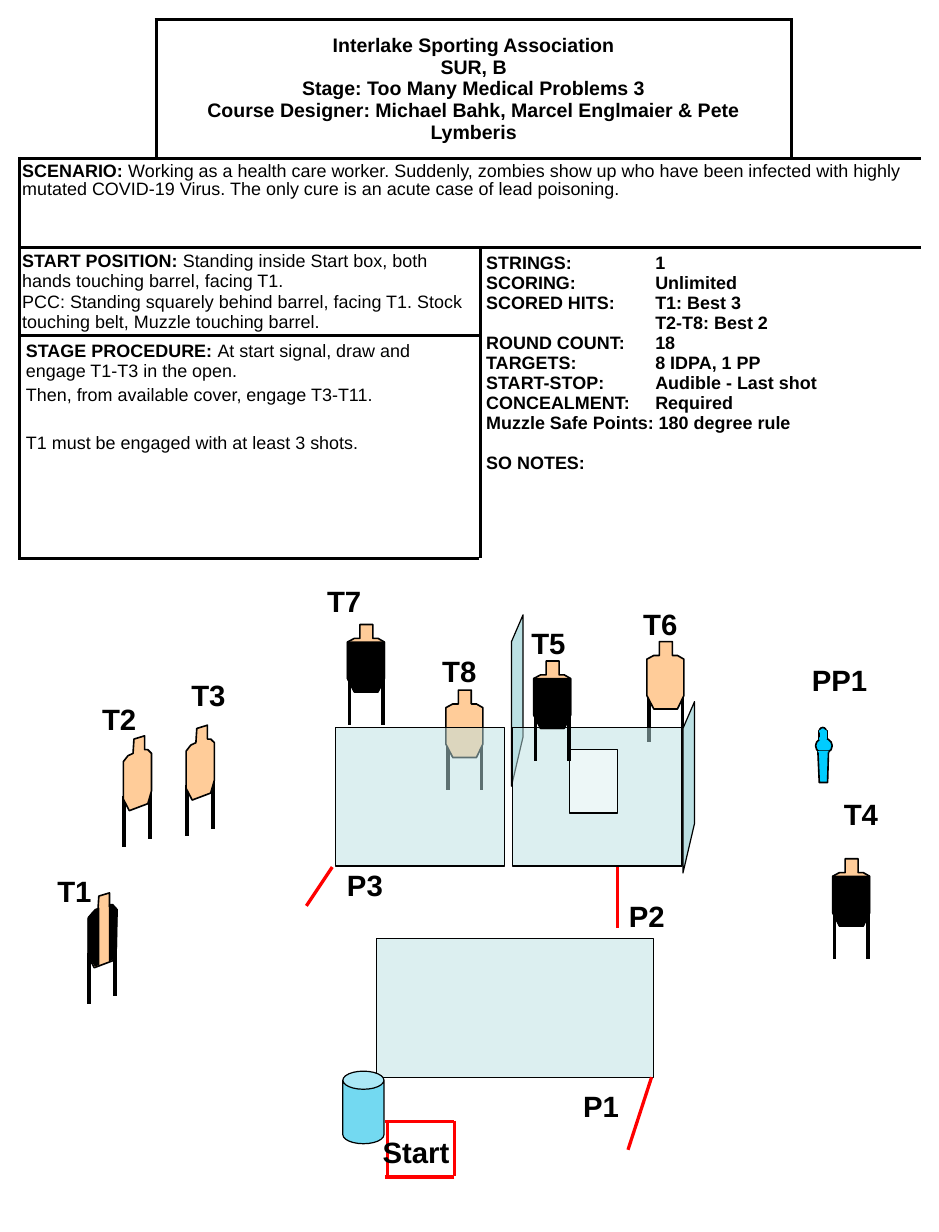
from dataclasses import dataclass

import lxml.etree
import pptx
import pptx.dml.color
import pptx.enum.shapes
import pptx.enum.text
import pptx.oxml.ns
import pptx.util

Cm, Pt = pptx.util.Cm, pptx.util.Pt
RGB = pptx.dml.color.RGBColor.from_string
Preset = pptx.enum.shapes.MSO_SHAPE
Align = pptx.enum.text.PP_ALIGN
Anchor = pptx.enum.text.MSO_ANCHOR
qn = pptx.oxml.ns.qn


@dataclass(frozen=True)
class Theme:
    font: str = "Arial"
    ink: str = "000000"
    paper: str = "FFFFFF"
    card: str = "FFCC99"
    wall: str = "BBE0E3"
    barrel: str = "73D9F1"
    popper: str = "00CCFF"
    fault: str = "FF0000"
    title: int = 12
    body: int = 11
    label: int = 18


theme = Theme()


def write(frame, paragraphs, size=theme.body, align=Align.LEFT, gaps=(), spacing=None, tab=None):
    """Fill a frame; ** toggles bold, a newline breaks the line, gaps are points before each paragraph."""
    frame.word_wrap = True
    for i, text in enumerate(paragraphs):
        paragraph = frame.paragraphs[0] if i == 0 else frame.add_paragraph()
        if tab:
            tabs = lxml.etree.SubElement(paragraph._p.get_or_add_pPr(), qn("a:tabLst"))
            lxml.etree.SubElement(tabs, qn("a:tab"), pos=str(Cm(tab)), algn="l")
        paragraph.alignment = align
        if spacing:
            paragraph.line_spacing = spacing
        if i and gaps:
            paragraph.space_before = Pt(gaps[i])
        for j, stretch in enumerate(text.split("**")):
            for k, line in enumerate(stretch.split("\n")):
                if k:
                    paragraph.add_line_break()
                if line:
                    run = paragraph.add_run()
                    run.text = line
                    run.font.name, run.font.size = theme.font, Pt(size)
                    run.font.bold = j % 2 == 1
                    run.font.color.rgb = RGB(theme.ink)


deck = pptx.Presentation()
deck.slide_width, deck.slide_height = Cm(20.32), Cm(26.67)
slide = deck.slides.add_slide(deck.slide_layouts[6])

# Stage description
columns, rows = (2.95, 7.01, 6.73, 2.79), (3, 1.93, 1.9, 4.83)
briefing = slide.shapes.add_table(len(rows), len(columns), Cm(0.43), Cm(0.43),
                                  Cm(sum(columns)), Cm(sum(rows))).table
briefing.first_row = briefing.horz_banding = False
for column, width in zip(briefing.columns, columns):
    column.width = Cm(width)
for row, height in zip(briefing.rows, rows):
    row.height = Cm(height)

title = ["**Interlake Sporting Association\nSUR, B\nStage: Too Many Medical Problems 3\n"
         "Course Designer: Michael Bahk, Marcel Englmaier & Pete Lymberis**"]
scenario = ["**SCENARIO: **Working as a health care worker. Suddenly, zombies show up who have been "
            "infected with highly mutated COVID-19 Virus. The only cure is an acute case of lead poisoning."]
start_position = [
    "**START POSITION: **Standing inside Start box, both hands touching barrel, facing T1.",
    "PCC: Standing squarely behind barrel, facing T1. Stock touching belt, Muzzle touching barrel."]
procedure = ["**STAGE PROCEDURE: **At start signal, draw and engage T1-T3 in the open.",
             "Then, from available cover, engage T3-T11.",
             "T1 must be engaged with at least 3 shots."]
rules = ["**STRINGS:\t1**", "**SCORING:\tUnlimited**", "**SCORED HITS:\tT1: Best 3\n\tT2-T8: Best 2**",
         "**ROUND COUNT:\t18**", "**TARGETS:\t8 IDPA, 1 PP**", "**START-STOP:\tAudible - Last shot**",
         "**CONCEALMENT:\tRequired**", "**Muzzle Safe Points: 180 degree rule**", "**SO NOTES:**"]

# first row, first column, last row, last column, bordered sides, insets (x, y), text, format
panels = [
    (0, 0, 0, 0, "RB", (0.13, 0.13), [], {}),
    (0, 1, 0, 2, "LRTB", (0.13, 0.13), title, dict(size=theme.title, align=Align.CENTER)),
    (0, 3, 0, 3, "LB", (0.13, 0.13), [], {}),
    (1, 0, 1, 3, "LRTB", (0.05, 0.1), scenario, dict(spacing=0.9)),
    (2, 0, 2, 1, "LRTB", (0.05, 0.08), start_position, dict(gaps=(0, 0.5))),
    (2, 2, 3, 3, "LRTB", (0.13, 0.13), rules, dict(tab=3.66, gaps=(0,) * 8 + (12.5,))),
    (3, 0, 3, 1, "LRTB", (0.13, 0.13), procedure, dict(gaps=(0, 2.2, 17))),
]
for top, left, bottom, right, sides, (inset_x, inset_y), text, text_format in panels:
    for r in range(top, bottom + 1):
        for c in range(left, right + 1):
            cell = briefing.cell(r, c)
            outer = {"L": c == left, "R": c == right, "T": r == top, "B": r == bottom}
            for side in "LRTB":
                if side in sides and outer[side]:
                    border = lxml.etree.SubElement(cell._tc.get_or_add_tcPr(), qn("a:ln" + side),
                                                   w=str(Pt(2.25)))
                    paint = lxml.etree.SubElement(border, qn("a:solidFill"))
                    lxml.etree.SubElement(paint, qn("a:srgbClr"), val=theme.ink)
            cell.fill.solid()
            cell.fill.fore_color.rgb = RGB(theme.paper)
    panel = briefing.cell(top, left)
    if (top, left) != (bottom, right):
        panel.merge(briefing.cell(bottom, right))
    panel.margin_left = panel.margin_right = Cm(inset_x)
    panel.margin_top = panel.margin_bottom = Cm(inset_y)
    panel.vertical_anchor = Anchor.MIDDLE if text is title else Anchor.TOP
    write(panel.text_frame, text, **text_format)

# Target outlines and legs, measured from each target's top left corner
front = [(0.27, 0), (0.55, 0), (0.55, 0.3), (0.66, 0.3), (0.8, 0.38), (0.8, 1.17), (0.66, 1.46),
         (0.15, 1.46), (0, 1.17), (0, 0.38), (0.15, 0.3), (0.27, 0.3)]
front_legs = [(0.04, 1.07), (0.77, 1.07)]
vest = front[4:10]
angled = [(0.23, 0.07), (0.46, 0), (0.46, 0.3), (0.53, 0.3), (0.61, 0.38), (0.61, 1.19), (0.53, 1.47),
          (0.13, 1.62), (0, 1.37), (0, 0.56), (0.1, 0.43), (0.21, 0.38)]
angled_legs = [(0.02, 1.3), (0.58, 1.14)]
left_strip = [(0, 1.35), (0.15, 1.58), (0.23, 1.55), (0.23, 0.33), (0.15, 0.36), (0, 0.53)]
right_strip = [(0.46, 0.25), (0.53, 0.25), (0.63, 0.36), (0.61, 1.17), (0.53, 1.42), (0.46, 1.47)]
side_wall = [(0, 3.71), (0, 0.58), (0.25, 0), (0.25, 2.64)]
popper_leg = [(0, 0), (0.23, 0), (0.21, 0.68), (0.03, 0.68)]

targets = {
    "T1": (1.91, 19.33, angled, angled_legs, [left_strip, right_strip]),
    "T2": (2.67, 15.93, angled, angled_legs, []),
    "T3": (4.03, 15.7, angled, angled_legs, []),
    "T4": (18.02, 18.59, front, front_legs, [vest]),
    "T5": (11.55, 14.31, front, front_legs, [vest]),
    "T6": (14, 13.89, front, front_legs, []),
    "T7": (7.52, 13.52, front, front_legs, [vest]),
    "T8": (9.65, 14.94, front, front_legs, []),
}

# Back to front: a target name, ("line", ends, colour, width), ("outline", x, y, points, fill, line, width)
# or (preset, x, y, width, height, fill, line, line width, opacity in percent)
wall_style = (theme.wall, theme.ink, 0.75, 50)
popper_style = (theme.popper, theme.ink, 1, 100)
highlight_style = (theme.popper, theme.popper, 1, 100)
fault_lines = [(13.59, 24.89, 14.1, 23.32), (13.36, 18.72, 13.36, 20.09), (7.19, 18.77, 6.63, 19.61)]
start_box = [(9.83, 24.28, 8.33, 24.28), (9.83, 24.26, 9.83, 25.45),
             (8.38, 24.26, 8.38, 25.45), (9.83, 25.48, 8.33, 25.48)]
scene = [
    (Preset.RECTANGLE, 8.15, 20.32, 5.99, 3, *wall_style),
    *[("line", ends, theme.fault, 2) for ends in fault_lines],
    "T2", "T3", "T6", "T8",
    ("outline", 11.07, 13.31, side_wall, theme.wall, theme.ink, 0.75),
    (Preset.RECTANGLE, 7.26, 15.75, 3.66, 3, *wall_style),
    (Preset.RECTANGLE, 11.1, 15.75, 3.66, 3, *wall_style),
    (Preset.RECTANGLE, 12.32, 16.23, 1.04, 1.37, theme.paper, theme.ink, 0.75, 50),
    "T7", "T5", "T4",
    ("outline", 14.78, 15.19, side_wall, theme.wall, theme.ink, 0.75),
    "T1",
    *[("line", ends, theme.fault, 2) for ends in start_box],
    (Preset.CAN, 7.42, 23.19, 0.89, 1.57, theme.barrel, theme.ink, 0.75, 100),
    (Preset.OVAL, 17.73, 15.75, 0.15, 0.15, *popper_style),
    (Preset.OVAL, 17.65, 15.98, 0.36, 0.33, *popper_style),
    ("outline", 17.7, 16.26, popper_leg, theme.popper, theme.ink, 1),
    (Preset.RECTANGLE, 17.73, 15.82, 0.18, 0.18, *popper_style),
    (Preset.RECTANGLE, 17.7, 16.26, 0.23, 0.03, theme.popper, None, 0, 100),
    (Preset.RECTANGLE, 17.75, 15.98, 0.13, 0.03, *highlight_style),
    (Preset.RECTANGLE, 17.75, 15.82, 0.13, 0.03, *highlight_style),
]

parts = []
for item in scene:
    if item not in targets if isinstance(item, str) else True:
        parts.append(item)
        continue
    x, y, body, legs, hard_cover = targets[item]
    for dx, dy in legs:
        parts.append(("line", (x + dx, y + dy, x + dx, y + dy + 1.1), theme.ink, 2.25))
    parts.append(("outline", x, y, body, theme.card, theme.ink, 1))
    parts += [("outline", x, y, cover, theme.ink, theme.ink, 0) for cover in hard_cover]

for kind, *details in parts:
    if kind == "line":
        ends, colour, width = details
        stroke = slide.shapes.add_connector(pptx.enum.shapes.MSO_CONNECTOR.STRAIGHT, *map(Cm, ends))
        stroke.line.color.rgb, stroke.line.width = RGB(colour), Pt(width)
        lxml.etree.SubElement(stroke._element.spPr, qn("a:effectLst"))
        continue
    opacity = 100
    if kind == "outline":
        x, y, points, fill, line, width = details
        corners = [(Cm(x + dx), Cm(y + dy)) for dx, dy in points]
        outline = slide.shapes.build_freeform(*corners[0])
        outline.add_line_segments(corners[1:], close=True)
        prop = outline.convert_to_shape()
    else:
        *box, fill, line, width, opacity = details
        prop = slide.shapes.add_shape(kind, *map(Cm, box))
    if kind == Preset.CAN:
        prop.adjustments[0] = 0.44
    prop.shadow.inherit = False
    prop.fill.solid()
    prop.fill.fore_color.rgb = RGB(fill)
    if opacity < 100:
        tint = prop._element.spPr.find(qn("a:solidFill")).find(qn("a:srgbClr"))
        lxml.etree.SubElement(tint, qn("a:alpha"), val=str(opacity * 1000))
    if line:
        prop.line.color.rgb, prop.line.width = RGB(line), Pt(width)
    else:
        prop.line.fill.background()

labels = [("P1", 12.37, 23.44, 1.47), ("P2", 13.36, 19.33, 1.47), ("P3", 7.26, 18.64, 1.47),
          ("T1", 0.99, 18.77, 1.47), ("T2", 1.96, 15.06, 1.47), ("T3", 3.89, 14.53, 1.47),
          ("T4", 18.01, 17.12, 1.3), ("T5", 11.25, 13.41, 1.47), ("T6", 13.67, 13, 1.47),
          ("T7", 6.83, 12.5, 1.47), ("T8", 9.32, 14.02, 1.47), ("PP1", 17.32, 14.22, 1.85),
          ("Start", 8.03, 24.43, 2.39)]
for name, x, y, width in labels:
    label = slide.shapes.add_textbox(Cm(x), Cm(y), Cm(width), Cm(1.02))
    write(label.text_frame, [f"**{name}**"], size=theme.label)

deck.save("out.pptx")
